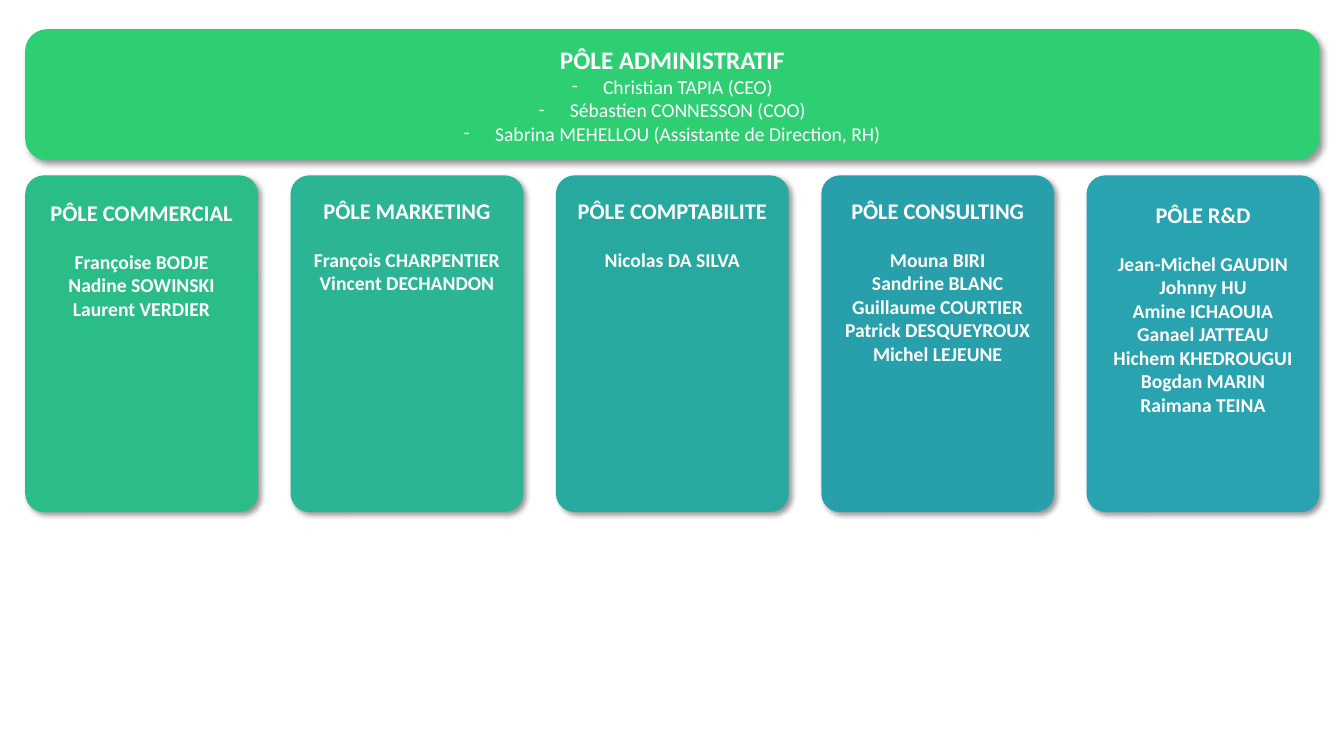
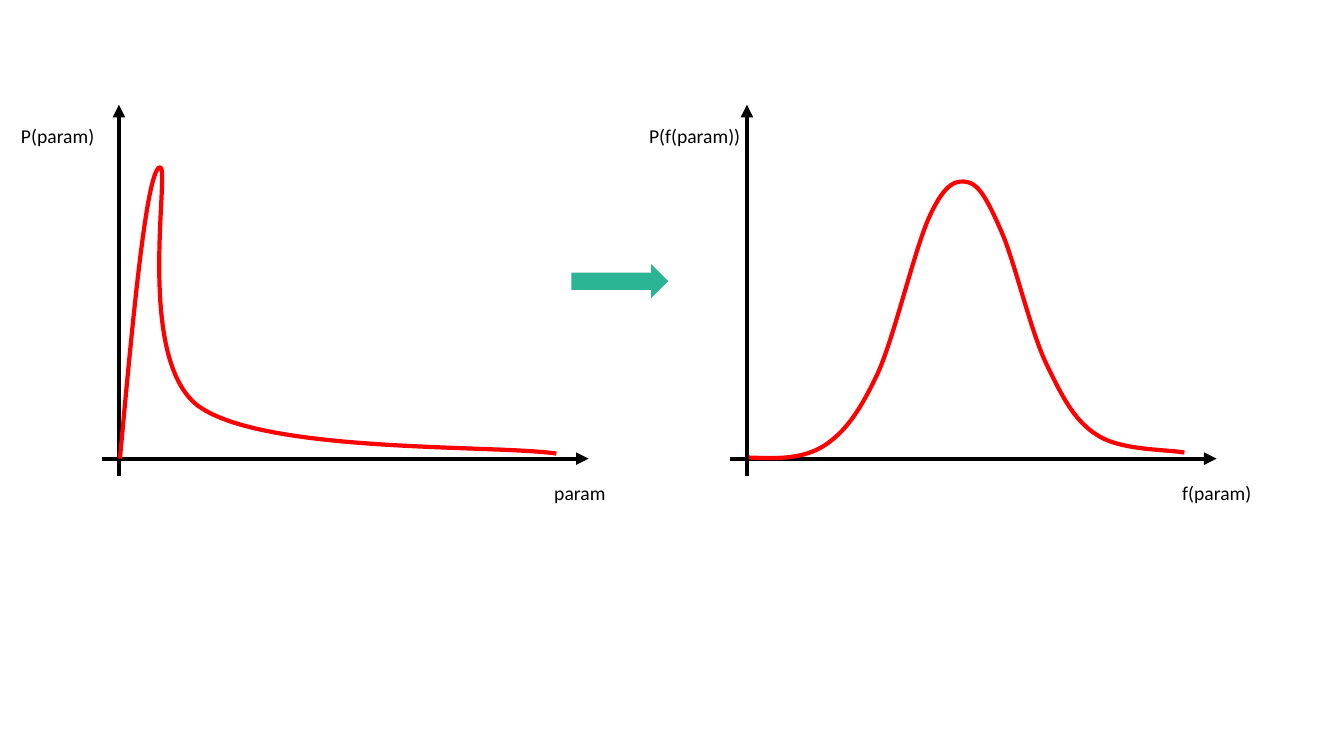
import pptx
import pptx.dml.color
import pptx.enum.shapes
import pptx.enum.text
import pptx.oxml.ns
import pptx.util
from lxml import etree

Inches = pptx.util.Inches
Pt = pptx.util.Pt
qn = pptx.oxml.ns.qn
RGBColor = pptx.dml.color.RGBColor
SHAPES = pptx.enum.shapes.MSO_SHAPE
ANCHOR = pptx.enum.text.MSO_ANCHOR
CENTER = pptx.enum.text.PP_ALIGN.CENTER

FONT = "Calibri"
COLORS = {
    "white": "FFFFFF",
    "black": "000000",
    "curve": "FF0000",
    "admin": "2ECE73",
    "commercial": "2BBD87",
    "marketing": "2BB595",
    "accounting": "28A9A0",
    "consulting": "27A0AC",
    "research": "28A3AF",
}


def style_text(paragraph, size, color, bold=False):
    for run in paragraph.runs:
        run.font.name = FONT
        run.font.size = Pt(size)
        run.font.bold = bold
        run.font.color.rgb = RGBColor.from_string(COLORS[color])


def add_block(slide, kind, left, top, width, height, color):
    block = slide.shapes.add_shape(
        kind, Inches(left), Inches(top), Inches(width), Inches(height)
    )
    block.shadow.inherit = False
    block.fill.solid()
    block.fill.fore_color.rgb = RGBColor.from_string(COLORS[color])
    block.line.fill.background()
    return block


presentation = pptx.Presentation()
presentation.slide_width = Inches(40 / 3)
presentation.slide_height = Inches(7.5)
blank = presentation.slide_layouts[6]

team_slide = presentation.slides.add_slide(blank)

LEFT, TOTAL_WIDTH = 0.25, 12.84
POLE_WIDTH = 2.31

admin_title = "PÔLE ADMINISTRATIF"
admin_members = [
    "Christian TAPIA (CEO)",
    "Sébastien CONNESSON (COO)",
    "Sabrina MEHELLOU (Assistante de Direction, RH)",
]
poles = [
    ("PÔLE COMMERCIAL", "commercial", 0.18,
     ["Françoise BODJE", "Nadine SOWINSKI", "Laurent VERDIER"]),
    ("PÔLE MARKETING", "marketing", 0.16,
     ["François CHARPENTIER", "Vincent DECHANDON"]),
    ("PÔLE COMPTABILITE", "accounting", 0.16, ["Nicolas DA SILVA"]),
    ("PÔLE CONSULTING", "consulting", 0.16,
     ["Mouna BIRI", "Sandrine BLANC", "Guillaume COURTIER",
      "Patrick DESQUEYROUX", "Michel LEJEUNE"]),
    ("PÔLE R&D", "research", 0.2,
     ["Jean-Michel GAUDIN", "Johnny HU", "Amine ICHAOUIA", "Ganael JATTEAU",
      "Hichem KHEDROUGUI", "Bogdan MARIN", "Raimana TEINA"]),
]

admin_band = add_block(
    team_slide, SHAPES.ROUNDED_RECTANGLE, LEFT, 0.29, TOTAL_WIDTH, 1.3, "admin"
)
admin_band.text_frame.vertical_anchor = ANCHOR.MIDDLE
cards = [(admin_band, admin_title, admin_members, 18, False)]

pole_step = (TOTAL_WIDTH - POLE_WIDTH) / (len(poles) - 1)
for index, (title, color, top_margin, members) in enumerate(poles):
    pole = add_block(
        team_slide, SHAPES.ROUNDED_RECTANGLE,
        LEFT + index * pole_step, 1.74, POLE_WIDTH, 3.34, color,
    )
    pole.adjustments[0] = 0.08
    pole.text_frame.vertical_anchor = ANCHOR.TOP
    pole.text_frame.margin_top = Inches(top_margin)
    cards.append((pole, title, members, 16, True))

for card, title, members, title_size, bold_members in cards:
    effects = card._element.spPr.find(qn("a:effectLst"))
    shadow = etree.SubElement(
        effects, qn("a:outerShdw"), blurRad=str(Pt(4)), dist=str(Pt(3)),
        dir="2700000", algn="tl", rotWithShape="0",
    )
    shadow_color = etree.SubElement(shadow, qn("a:srgbClr"), val=COLORS["black"])
    etree.SubElement(shadow_color, qn("a:alpha"), val="40000")

    card.text_frame.word_wrap = True
    card.text_frame.text = "\n".join([title] + members)
    heading, *names = card.text_frame.paragraphs
    heading.alignment = CENTER
    style_text(heading, title_size, "white", True)
    for name in names:
        name.alignment = CENTER
        style_text(name, 14, "white", bold_members)
    if card is not admin_band:
        heading.space_after = Pt(17)

for member in admin_band.text_frame.paragraphs[1:]:
    properties = member._p.get_or_add_pPr()
    properties.set("marL", str(Inches(0.31)))
    properties.set("indent", str(-Inches(0.31)))
    etree.SubElement(properties, qn("a:buFont"), typeface=FONT)
    etree.SubElement(properties, qn("a:buChar"), char="-")

graph_slide = presentation.slides.add_slide(blank)

GRAPH_STEP = 6.23

skewed_curve = [
    (1.19, 4.55),
    (1.32, 3.14), (1.45, 1.74), (1.58, 1.66),
    (1.71, 1.57), (1.32, 3.55), (1.97, 4.03),
    (2.63, 4.5), (4.9, 4.41), (5.52, 4.5),
]
bell_curve = [
    (7.43, 4.54),
    (7.7, 4.55), (7.96, 4.56), (8.18, 4.42),
    (8.39, 4.28), (8.53, 4.08), (8.71, 3.7),
    (8.88, 3.32), (9.08, 2.44), (9.23, 2.13),
    (9.38, 1.81), (9.49, 1.78), (9.61, 1.81),
    (9.72, 1.84), (9.81, 2.01), (9.94, 2.31),
    (10.07, 2.61), (10.22, 3.27), (10.38, 3.61),
    (10.54, 3.94), (10.66, 4.18), (10.89, 4.32),
    (11.12, 4.47), (11.59, 4.46), (11.75, 4.49),
]
graphs = [
    ("param", "P(param)", skewed_curve),
    ("f(param)", "P(f(param))", bell_curve),
]

for index, (x_label, y_label, controls) in enumerate(graphs):
    offset = index * GRAPH_STEP

    for x1, y1, x2, y2 in [(1.01, 4.55, 5.84, 4.55), (1.18, 4.72, 1.18, 1.04)]:
        axis = graph_slide.shapes.add_connector(
            pptx.enum.shapes.MSO_CONNECTOR.STRAIGHT,
            Inches(x1 + offset), Inches(y1), Inches(x2 + offset), Inches(y2),
        )
        axis.line.width = Pt(3)
        axis.line.color.rgb = RGBColor.from_string(COLORS["black"])
        etree.SubElement(axis.line._get_or_add_ln(), qn("a:tailEnd"), type="triangle")
        etree.SubElement(axis._element.spPr, qn("a:effectLst"))

    for label, left, top in [(x_label, 5.4, 4.72), (y_label, 0.11, 1.18)]:
        axis_label = graph_slide.shapes.add_textbox(
            Inches(left + offset), Inches(top), Inches(1.35), Inches(0.34)
        )
        axis_label.text_frame.word_wrap = True
        axis_label.text_frame.auto_size = pptx.enum.text.MSO_AUTO_SIZE.SHAPE_TO_FIT_TEXT
        axis_label.text_frame.text = label
        style_text(axis_label.text_frame.paragraphs[0], 14, "black")

    points = [(Inches(x), Inches(y)) for x, y in controls]
    outline = graph_slide.shapes.build_freeform(*points[0])
    outline.add_line_segments(points[3::3], close=False)
    curve = outline.convert_to_shape()
    curve.shadow.inherit = False
    curve.fill.background()
    curve.line.width = Pt(3)
    curve.line.color.rgb = RGBColor.from_string(COLORS["curve"])

    segments = list(curve._element.iter(qn("a:lnTo")))
    for number, segment in enumerate(segments):
        bezier = etree.Element(qn("a:cubicBezTo"))
        for x, y in points[3 * number + 1:3 * number + 4]:
            etree.SubElement(
                bezier, qn("a:pt"), x=str(x - curve.left), y=str(y - curve.top)
            )
        segment.getparent().replace(segment, bezier)

add_block(graph_slide, SHAPES.RIGHT_ARROW, 5.67, 2.62, 0.96, 0.34, "marketing")

presentation.save("out.pptx")
